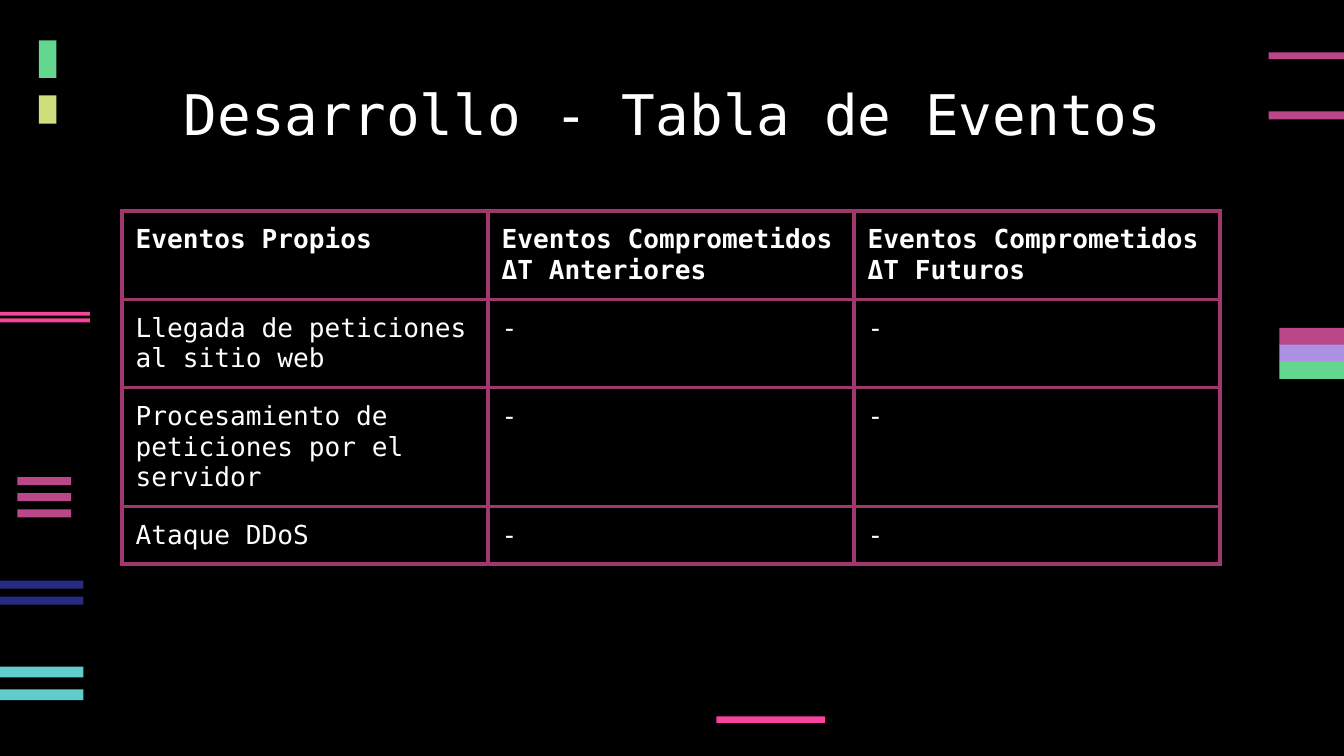
from lxml import etree
from pptx import Presentation
from pptx.dml.color import RGBColor
from pptx.enum.shapes import MSO_SHAPE
from pptx.enum.text import MSO_ANCHOR, PP_ALIGN
from pptx.oxml.ns import qn
from pptx.util import Inches, Pt

RECTANGLE = MSO_SHAPE.RECTANGLE
TOP = MSO_ANCHOR.TOP
CENTER, LEFT = PP_ALIGN.CENTER, PP_ALIGN.LEFT

FONT = "DejaVu Sans Mono"
COLORS = {
    "black": "000000", "white": "FFFFFF", "border": "A0386E",
    "plum": "BA4888", "pink": "F6439D", "aqua": "60CCCB",
    "green": "63D790", "lilac": "AC91E5", "lime": "D0DF7E", "navy": "272B82",
}
MARGINS = dict.fromkeys(
    ("margin_left", "margin_top", "margin_right", "margin_bottom"), Inches(0.1))

# left, top, width, bar height, pitch, colours from top to bottom
BAR_STACKS = [
    (0.13, 3.55, 0.4, 0.06, 0.12, ["plum"] * 3),
    (9.44, 0.39, 0.56, 0.05, 0, ["plum"]),
    (9.44, 0.83, 0.56, 0.06, 0, ["plum"]),
    (5.33, 5.33, 0.81, 0.05, 0, ["pink"]),
    (0, 4.96, 0.62, 0.08, 0.17, ["aqua"] * 2),
    (9.52, 2.44, 0.48, 0.13, 0.25 / 2, ["plum", "lilac", "green"]),
    (0.29, 0.3, 0.13, 0.28, 0, ["green"]),
    (0.29, 0.71, 0.13, 0.21, 0, ["lime"]),
    (0, 2.32, 0.67, 0.03, 0.05, ["pink"] * 2),
    (0, 4.32, 0.62, 0.06, 0.12, ["navy"] * 2),
]
EVENTS = [
    ("Eventos Propios", "Eventos Comprometidos ΔT Anteriores",
     "Eventos Comprometidos ΔT Futuros"),
    ("Llegada de peticiones al sitio web", "-", "-"),
    ("Procesamiento de peticiones por el servidor", "-", "-"),
    ("Ataque DDoS", "-", "-"),
]


def rgb(name):
    return RGBColor.from_string(COLORS[name])


def set_attributes(target, values):
    for name, value in values.items():
        setattr(target, name, value)


def write_text(frame, text, size, align, bold=False):
    paragraph = frame.paragraphs[0]
    paragraph.alignment = align
    run = paragraph.add_run()
    run.text = text
    set_attributes(run.font, {"name": FONT, "size": Pt(size), "bold": bold})
    run.font.color.rgb = rgb("white")


def add_bar_stack(slide, left, top, width, height, pitch, colors):
    for i, color in enumerate(colors):
        bar = slide.shapes.add_shape(
            RECTANGLE, Inches(left), Inches(top + i * pitch),
            Inches(width), Inches(height))
        bar.shadow.inherit = False
        bar.fill.solid()
        bar.fill.fore_color.rgb = rgb(color)
        bar.line.fill.background()


def place_title(slide, left, top, width, height):
    title = slide.shapes.title
    set_attributes(title, {"left": Inches(left), "top": Inches(top),
                           "width": Inches(width), "height": Inches(height)})
    set_attributes(title.text_frame, {
        **MARGINS, "vertical_anchor": TOP, "word_wrap": True})
    write_text(title.text_frame, "Desarrollo - Tabla de Eventos", 30, CENTER)


def outline_cell(cell):
    """Draw the four borders, which must precede the fill in the cell XML."""
    properties = cell._tc.get_or_add_tcPr()
    for i, side in enumerate(("lnL", "lnR", "lnT", "lnB")):
        line = etree.Element(qn(f"a:{side}"), w=str(Pt(2.25)))
        fill = etree.SubElement(line, qn("a:solidFill"))
        etree.SubElement(fill, qn("a:srgbClr"), val=COLORS["border"])
        properties.insert(i, line)


def add_event_table(slide, left, top, width, row_height):
    row_count, column_count = len(EVENTS), len(EVENTS[0])
    table = slide.shapes.add_table(
        row_count, column_count, Inches(left), Inches(top),
        Inches(width), Inches(row_height * row_count)).table
    set_attributes(table, {"first_row": False, "horz_banding": False})
    for r, event in enumerate(EVENTS):
        for c, text in enumerate(event):
            cell = table.cell(r, c)
            set_attributes(cell, {**MARGINS, "vertical_anchor": TOP})
            cell.fill.solid()
            cell.fill.fore_color.rgb = rgb("black")
            outline_cell(cell)
            write_text(cell.text_frame, text, 14, LEFT, bold=r == 0)


def main():
    deck = Presentation()
    deck.slide_width = Inches(10)
    deck.slide_height = deck.slide_width * 9 // 16
    title_only = deck.slide_layouts[5]
    slide = deck.slides.add_slide(title_only)
    slide.background.fill.solid()
    slide.background.fill.fore_color.rgb = rgb("black")
    for stack in BAR_STACKS:
        add_bar_stack(slide, *stack)
    place_title(slide, 0.79, 0.49, 8.43, 0.77)
    add_event_table(slide, 0.91, 1.57, 8.17, 0.42)
    deck.save("out.pptx")


if __name__ == "__main__":
    main()
